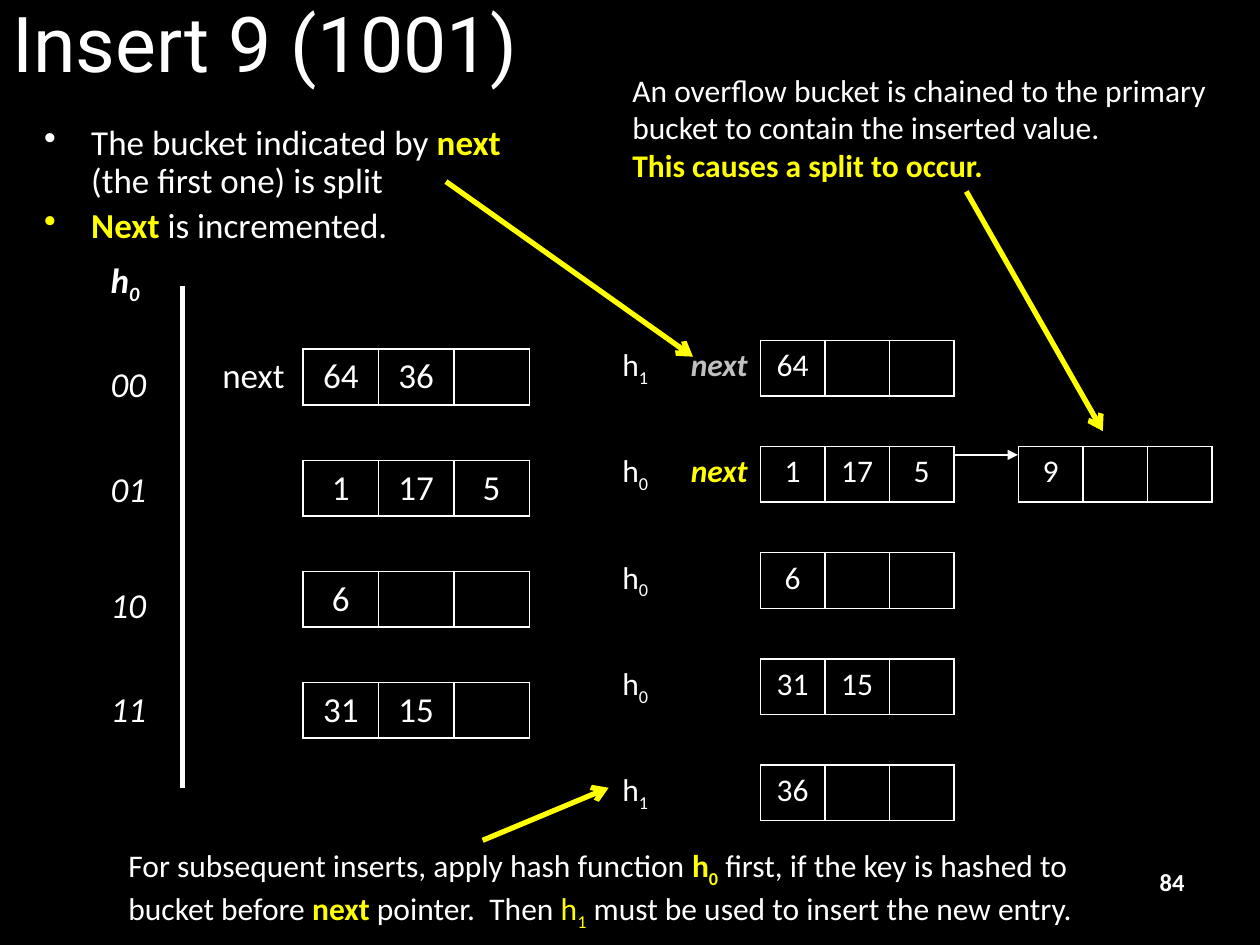
from lxml.etree import SubElement
from pptx import Presentation
from pptx.dml.color import RGBColor
from pptx.enum.shapes import MSO_CONNECTOR
from pptx.enum.text import MSO_ANCHOR as Anchor, PP_ALIGN as Align
from pptx.oxml.ns import qn
from pptx.util import Cm, Pt


class Theme:
    background = RGBColor(0x00, 0x00, 0x00)
    ink = RGBColor(0xFF, 0xFF, 0xFF)
    accent = RGBColor(0xFF, 0xFF, 0x00)
    faded = RGBColor(0xC0, 0xC0, 0xC0)
    title_font, body_font = "Roboto", "Calibri"
    title, body, small, page = 44, 20, 18, 14
    thick, thin, border = 3, 0.75, 1
    plain_table = "{2D5ABB26-0587-4C30-8999-92F81FD0307C}"


# A paragraph is a list of runs; a run is plain text or (text, style).
KEY = {"color": Theme.accent, "bold": True}
KEY_LIGHT = {"color": Theme.accent}
SUB = {"subscript": True}
NEXT_NOW = ("next", {**KEY, "italic": True})
NEXT_BEFORE = ("next", {"color": Theme.faded, "bold": True, "italic": True})
H0, H1 = (["h", (digit, SUB)] for digit in "01")

TITLE = ["Insert 9 (1001)"]
STEPS = [
    ["The bucket indicated by ", ("next ", KEY), "(the first one) is split"],
    [("Next", KEY), " is incremented."],
]
OVERFLOW_NOTE = [
    ["An overflow bucket is chained to the primary bucket to contain the inserted value."],
    [("This causes a split to occur.", KEY)],
]
LOOKUP_NOTE = [
    "For subsequent inserts, apply hash function ", ("h", KEY), ("0", {**KEY, **SUB}),
    " first, if the key is hashed to bucket before ", ("next", KEY),
    " pointer.  Then ", ("h", KEY_LIGHT), ("1", {**KEY_LIGHT, **SUB}),
    " must be used to insert the new entry.",
]
HASH_KEYS = [("00", 7.19), ("01", 9.3), ("10", 11.63), ("11", 13.74)]  # text, top

# Each row: labels from column 0, then {first column: values of a bucket}.
BEFORE = {
    "left": 4.11, "columns": [2] + [1.52] * 3 + [1.54],
    "head": 1.27, "row": 1.12, "gap": 1.12, "size": Theme.body,
    "rows": [
        ([["next"]], {1: ["64", "36", ""]}),
        ([], {1: ["1", "17", "5"]}),
        ([], {1: ["6", "", ""]}),
        ([], {1: ["31", "15", ""]}),
    ],
}
AFTER = {
    "left": 11.94, "columns": [1.73, 1.66] + [1.3] * 7,
    "head": 1.09, "row": 1.12, "gap": 1.02, "size": Theme.small,
    "rows": [
        ([H1, [NEXT_BEFORE]], {2: ["64", "", ""]}),
        ([H0, [NEXT_NOW]], {2: ["1", "17", "5"], 6: ["9", "", ""]}),
        ([H0], {2: ["6", "", ""]}),
        ([H0], {2: ["31", "15", ""]}),
        ([H1], {2: ["36", "", ""]}),
    ],
}
TABLES_TOP = 5.77

# from, to, colour, width, arrowhead
AXIS = ((3.68, 5.77), (3.68, 15.88), Theme.ink, Theme.thick, None)
CHAIN = ((19.25, 9.17), (20.52, 9.17), Theme.ink, Theme.thin, "triangle")
POINTERS = [
    (start, end, Theme.accent, Theme.thick, "arrow")
    for start, end in [
        ((19.48, 3.86), (22.23, 8.69)),
        ((8.99, 3.66), (13.97, 7.19)),
        ((9.73, 16.94), (12.27, 15.88)),
    ]
]


def write(paragraph, runs, size, align=Align.LEFT, font=Theme.body_font, **style):
    paragraph.alignment = align
    paragraph.font.name, paragraph.font.size = font, Pt(size)
    paragraph.font.color.rgb = Theme.ink
    for attribute, value in style.items():
        setattr(paragraph.font, attribute, value)
    for item in runs:
        words, look = (item, {}) if isinstance(item, str) else item
        run = paragraph.add_run()
        run.text = words
        if "color" in look:
            run.font.color.rgb = look["color"]
        for attribute in ("bold", "italic"):
            if attribute in look:
                setattr(run.font, attribute, look[attribute])
        if look.get("subscript"):
            run._r.get_or_add_rPr().set("baseline", "-25000")


def add_text(slide, at, paragraphs, size, wrap=True, anchor=Anchor.TOP, **style):
    frame = slide.shapes.add_textbox(*map(Cm, at)).text_frame
    frame.word_wrap, frame.vertical_anchor = wrap, anchor
    for index, runs in enumerate(paragraphs):
        paragraph = frame.add_paragraph() if index else frame.paragraphs[0]
        write(paragraph, runs, size, **style)
    return frame


def add_bullets(frame):
    for paragraph in frame.paragraphs:
        paragraph.line_spacing, paragraph.space_before = 0.9, Pt(4)
        properties = paragraph._p.get_or_add_pPr()
        properties.set("marL", str(Cm(0.95)))
        properties.set("indent", str(-Cm(0.95)))
        bullet = properties.makeelement(qn("a:buChar"), {"char": "•"})
        properties.find(qn("a:defRPr")).addprevious(bullet)


def add_line(slide, start, end, color, width, arrowhead):
    line = slide.shapes.add_connector(
        MSO_CONNECTOR.STRAIGHT, *map(Cm, (*start, *end)))
    line.line.color.rgb, line.line.width = color, Pt(width)
    if arrowhead:
        SubElement(line.line._get_or_add_ln(), qn("a:tailEnd"), type=arrowhead)
    SubElement(line.element.spPr, qn("a:effectLst"))


def outline(cell):
    properties = cell._tc.get_or_add_tcPr()
    for position, side in enumerate(("lnL", "lnR", "lnT", "lnB")):
        edge = properties.makeelement(qn(f"a:{side}"), {"w": str(Pt(Theme.border))})
        fill = SubElement(edge, qn("a:solidFill"))
        SubElement(fill, qn("a:srgbClr"), val=str(Theme.ink))
        properties.insert(position, edge)


def add_buckets(slide, layout):
    """Draw bucket rows in one table, with a blank row before and after each."""
    columns, rows, size = layout["columns"], layout["rows"], layout["size"]
    heights = [layout["head"]] + [layout["row"], layout["gap"]] * len(rows)
    frame = slide.shapes.add_table(
        len(heights), len(columns), Cm(layout["left"]), Cm(TABLES_TOP),
        Cm(sum(columns)), Cm(sum(heights)))
    table = frame.table
    table.first_row = table.horz_banding = False
    next(frame.element.iter(qn("a:tableStyleId"))).text = Theme.plain_table
    for column, width in zip(table.columns, columns):
        column.width = Cm(width)
    for row, height in zip(table.rows, heights):
        row.height = Cm(height)
    for cell in table.iter_cells():
        cell.fill.background()
    for index, (labels, buckets) in enumerate(rows):
        cells = table.rows[2 * index + 1].cells
        for cell, label in zip(cells, labels):
            write(cell.text_frame.paragraphs[0], label, size, Align.CENTER)
        for first, values in buckets.items():
            for offset, value in enumerate(values):
                cell = cells[first + offset]
                outline(cell)
                if value:
                    write(cell.text_frame.paragraphs[0], [value], size, Align.CENTER)


def main():
    deck = Presentation()
    deck.slide_width, deck.slide_height = Cm(25.4), Cm(19.05)
    slide = deck.slides.add_slide(deck.slide_layouts[6])
    slide.background.fill.solid()
    slide.background.fill.fore_color.rgb = Theme.background

    add_text(slide, (0, 0, 24.13, 1.7), [TITLE], Theme.title,
             anchor=Anchor.MIDDLE, font=Theme.title_font)
    add_buckets(slide, BEFORE)
    for key, top in HASH_KEYS:
        add_text(slide, (1.98, top, 1.22, 1.09), [[key]], Theme.body,
                 wrap=False, italic=True)
    add_text(slide, (1.98, 5.08, 1.12, 1.09), [H0], Theme.body,
             wrap=False, bold=True, italic=True)
    add_line(slide, *AXIS)
    add_buckets(slide, AFTER)
    add_line(slide, *CHAIN)
    add_bullets(add_text(slide, (0.64, 2.41, 9.73, 2.34), STEPS, Theme.body))
    add_text(slide, (12.5, 1.3, 12.5, 2.57), OVERFLOW_NOTE, Theme.small)
    for pointer in POINTERS:
        add_line(slide, *pointer)
    add_text(slide, (2.34, 16.94, 20.32, 2.57), [LOOKUP_NOTE], Theme.small)
    add_text(slide, (18.21, 17.35, 5.92, 1.32), [["84"]], Theme.page,
             align=Align.RIGHT, bold=True)
    deck.save("out.pptx")


if __name__ == "__main__":
    main()
